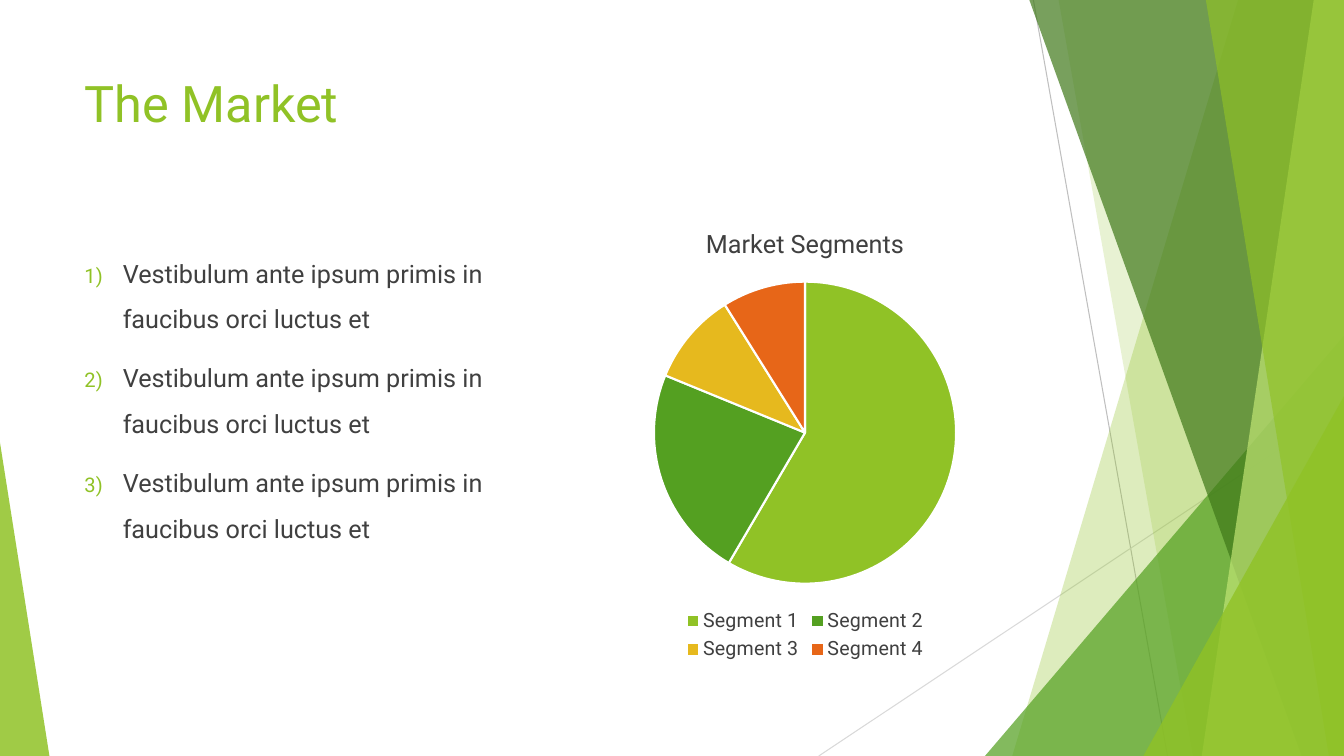
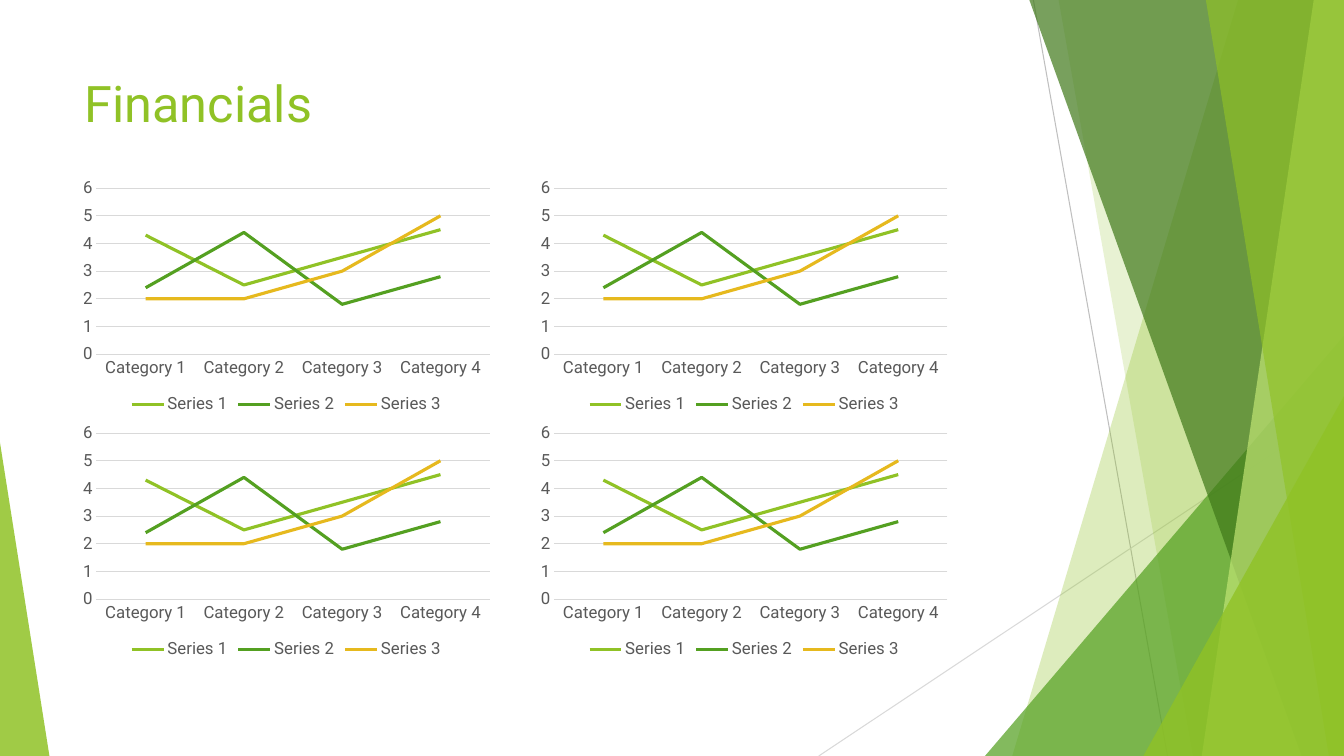
from itertools import product

from lxml.etree import SubElement
from pptx import Presentation
from pptx.chart.data import CategoryChartData
from pptx.dml.color import RGBColor
from pptx.enum.chart import XL_CHART_TYPE as ChartType
from pptx.enum.chart import XL_LEGEND_POSITION as LegendPosition
from pptx.enum.chart import XL_TICK_MARK as TickMark
from pptx.enum.shapes import MSO_CONNECTOR as Connector
from pptx.enum.shapes import MSO_SHAPE as Shape
from pptx.enum.text import MSO_ANCHOR as Anchor
from pptx.enum.text import MSO_AUTO_SIZE as AutoSize
from pptx.enum.text import PP_ALIGN as Align
from pptx.oxml.ns import qn
from pptx.util import Inches, Pt

COLORS = {
    "lime": "90C226", "green": "54A021", "forest": "3F7819", "pale": "C0E474",
    "gold": "E6B91E", "orange": "E76618", "text": "404040", "axis": "595959",
    "rule": "D9D9D9", "thread": "BFBFBF", "white": "FFFFFF",
}
SERIES_COLORS = ["lime", "green", "gold", "orange"]
FONT = "Roboto"
TITLE_ONLY = 5

# Shared decoration, in percent of the slide's width and height, back to front
THREADS = [("thread", 76.89, 0, 86.87, 100), ("rule", 100, 53.73, 60.92, 100)]
# Ribbon: colour, opacity, left edge at the top, left edge at the bottom
# Corner: colour, opacity, left, top, width, position of the tip
DECORATION = [
    ("ribbon", "lime", 30, 92.12, 75.32),
    ("ribbon", "lime", 20, 78.77, 88.75),
    ("corner", "green", 72, 73.29, 44.4, 26.71, 1),
    ("ribbon", "forest", 70, 76.59, 96.85),
    ("ribbon", "pale", 70, 97.75, 89.42),
    ("ribbon", "lime", 65, 89.72, 98.87),
    ("corner", "lime", 80, 85.07, 52.4, 14.93, 1),
    ("corner", "lime", 85, 0, 58.53, 3.68, 0),
]


def color(name):
    return RGBColor.from_string(COLORS[name])


def apply(target, values):
    for name, value in values.items():
        setattr(target, name, value)


def style_font(font, size, color_name):
    apply(font, {"name": FONT, "size": Pt(size), "bold": False})
    font.color.rgb = color(color_name)


def style_line(line, color_name, width):
    line.color.rgb = color(color_name)
    line.width = Pt(width)


class Deck:
    """Holds the style and the current slide; lengths are percentages."""

    def __init__(self):
        self.presentation = Presentation()
        apply(self.presentation, {"slide_width": Inches(13.33), "slide_height": Inches(7.5)})
        self.slide = None

    def x(self, share):
        return round(self.presentation.slide_width * share / 100)

    def y(self, share):
        return round(self.presentation.slide_height * share / 100)

    def box(self, left, top, width, height):
        return self.x(left), self.y(top), self.x(width), self.y(height)

    def add_slide(self, title, title_height):
        layout = self.presentation.slide_layouts[TITLE_ONLY]
        self.slide = self.presentation.slides.add_slide(layout)
        for thread in THREADS:
            self.thread(*thread)
        for kind, *values in DECORATION:
            getattr(self, kind)(*values)
        self.title(title, title_height)

    # Decoration
    def thread(self, color_name, x1, y1, x2, y2):
        line = self.slide.shapes.add_connector(
            Connector.STRAIGHT, self.x(x1), self.y(y1), self.x(x2), self.y(y2))
        style_line(line.line, color_name, 0.75)
        SubElement(line.element.spPr, qn("a:effectLst"))

    def paint(self, shape, color_name, opacity):
        shape.shadow.inherit = False
        shape.line.fill.background()
        shape.fill.solid()
        shape.fill.fore_color.rgb = color(color_name)
        for fill in shape.element.spPr.iter(qn("a:srgbClr")):
            SubElement(fill, qn("a:alpha"), val=str(opacity * 1000))

    def ribbon(self, color_name, opacity, top_left, bottom_left):
        builder = self.slide.shapes.build_freeform(self.x(top_left), 0)
        corners = [(100, 0), (100, 100), (bottom_left, 100)]
        builder.add_line_segments([(self.x(x), self.y(y)) for x, y in corners])
        self.paint(builder.convert_to_shape(), color_name, opacity)

    def corner(self, color_name, opacity, left, top, width, tip):
        triangle = self.slide.shapes.add_shape(
            Shape.ISOSCELES_TRIANGLE, *self.box(left, top, width, 100 - top))
        triangle.adjustments[0] = tip
        self.paint(triangle, color_name, opacity)

    # Text
    def title(self, text, height):
        title = self.slide.shapes.title
        left, top, width, height = self.box(5.55, 8.93, 70.52, height)
        apply(title, {"left": left, "top": top, "width": width, "height": height})
        frame = title.text_frame
        frame.text = text
        apply(frame, {"vertical_anchor": Anchor.TOP, "word_wrap": True,
                      "auto_size": AutoSize.NONE})
        paragraph = frame.paragraphs[0]
        paragraph.alignment = Align.LEFT
        style_font(paragraph.runs[0].font, 36, "lime")

    def numbered_list(self, items, *box):
        frame = self.slide.shapes.add_textbox(*self.box(*box)).text_frame
        frame.word_wrap = True
        frame.text = "\n".join(items)
        for paragraph in frame.paragraphs:
            apply(paragraph, {"line_spacing": 1.5, "space_before": Pt(10)})
            style_font(paragraph.runs[0].font, 18, "text")
            properties = paragraph._p.get_or_add_pPr()
            indent = Inches(0.38)
            properties.set("marL", str(indent))
            properties.set("indent", str(-indent))
            bullet_color = SubElement(properties, qn("a:buClr"))
            SubElement(bullet_color, qn("a:srgbClr"), val=COLORS["lime"])
            SubElement(properties, qn("a:buSzPct"), val="80000")
            SubElement(properties, qn("a:buFont"), typeface=FONT)
            SubElement(properties, qn("a:buAutoNum"), type="arabicParenR")

    # Charts
    def chart(self, kind, categories, series, box, size, color_name):
        data = CategoryChartData()
        data.categories = categories
        for name, values in series.items():
            data.add_series(name, values)
        chart = self.slide.shapes.add_chart(kind, *self.box(*box), data).chart
        style_font(chart.font, size, color_name)
        chart.has_title = False
        chart.has_legend = True
        apply(chart.legend, {"position": LegendPosition.BOTTOM, "include_in_layout": False})
        style_font(chart.legend.font, size, color_name)
        return chart

    def pie_chart(self, title, categories, series, *box):
        chart = self.chart(ChartType.PIE, categories, series, box, 14, "text")
        chart.has_title = True
        frame = chart.chart_title.text_frame
        frame.text = title
        chart.chart_title.include_in_layout = False
        style_font(frame.paragraphs[0].runs[0].font, 18, "text")
        plot = chart.plots[0]
        plot.vary_by_categories = True
        for index in range(len(categories)):
            slice_format = plot.series[0].points[index].format
            slice_format.fill.solid()
            slice_format.fill.fore_color.rgb = color(SERIES_COLORS[index])
            style_line(slice_format.line, "white", 1.5)

    def line_chart(self, categories, series, *box):
        chart = self.chart(ChartType.LINE, categories, series, box, 12, "axis")
        chart.plots[0].vary_by_categories = False
        for line, color_name in zip(chart.plots[0].series, SERIES_COLORS):
            line.smooth = False
            style_line(line.format.line, color_name, 2.25)
        for axis in (chart.category_axis, chart.value_axis):
            apply(axis, {"major_tick_mark": TickMark.NONE, "minor_tick_mark": TickMark.NONE})
            style_font(axis.tick_labels.font, 12, "axis")
        style_line(chart.category_axis.format.line, "rule", 0.75)
        values = chart.value_axis
        apply(values, {"minimum_scale": 0, "maximum_scale": 6, "major_unit": 1,
                       "has_major_gridlines": True})
        values.format.line.fill.background()
        style_line(values.major_gridlines.format.line, "rule", 0.75)


deck = Deck()

# The market
deck.add_slide("The Market", 19.2)
deck.numbered_list(["Vestibulum ante ipsum primis in faucibus orci luctus et"] * 3,
                   5.55, 31.47, 33.61, 56.53)
deck.pie_chart("Market Segments", [f"Segment {number}" for number in range(1, 5)],
               {"Series 1": [59, 23, 10, 9]}, 41.56, 27.6, 36.68, 60.4)

# Financials: two by two line charts
deck.add_slide("Financials", 10.53)
financials = {
    "Series 1": [4.3, 2.5, 3.5, 4.5],
    "Series 2": [2.4, 4.4, 1.8, 2.8],
    "Series 3": [2, 2, 3, 5],
}
categories = [f"Category {number}" for number in range(1, 5)]
chart_width, chart_height, column_gap = 31.51, 32.4, 2.55
for row, column in product(range(2), repeat=2):
    deck.line_chart(categories, financials,
                    5.55 + column * (chart_width + column_gap),
                    22.93 + row * chart_height, chart_width, chart_height)

deck.presentation.save("out.pptx")
